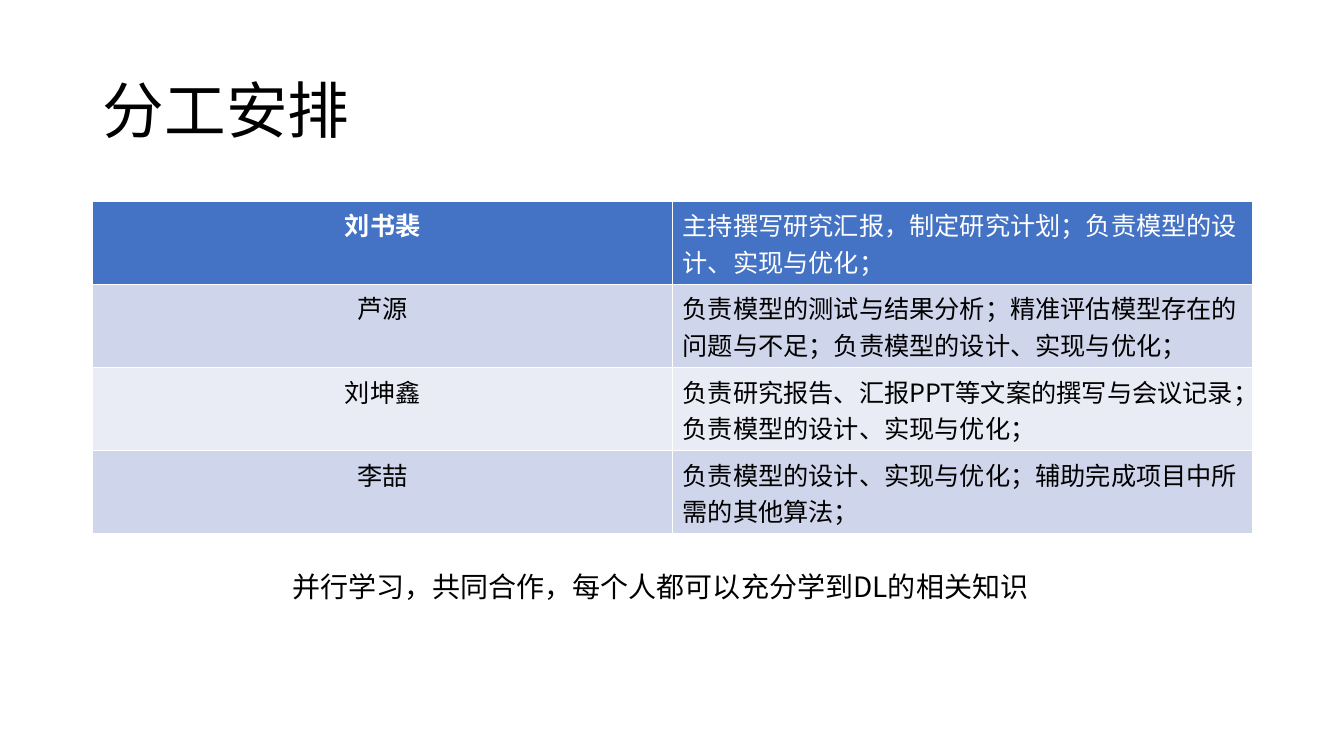
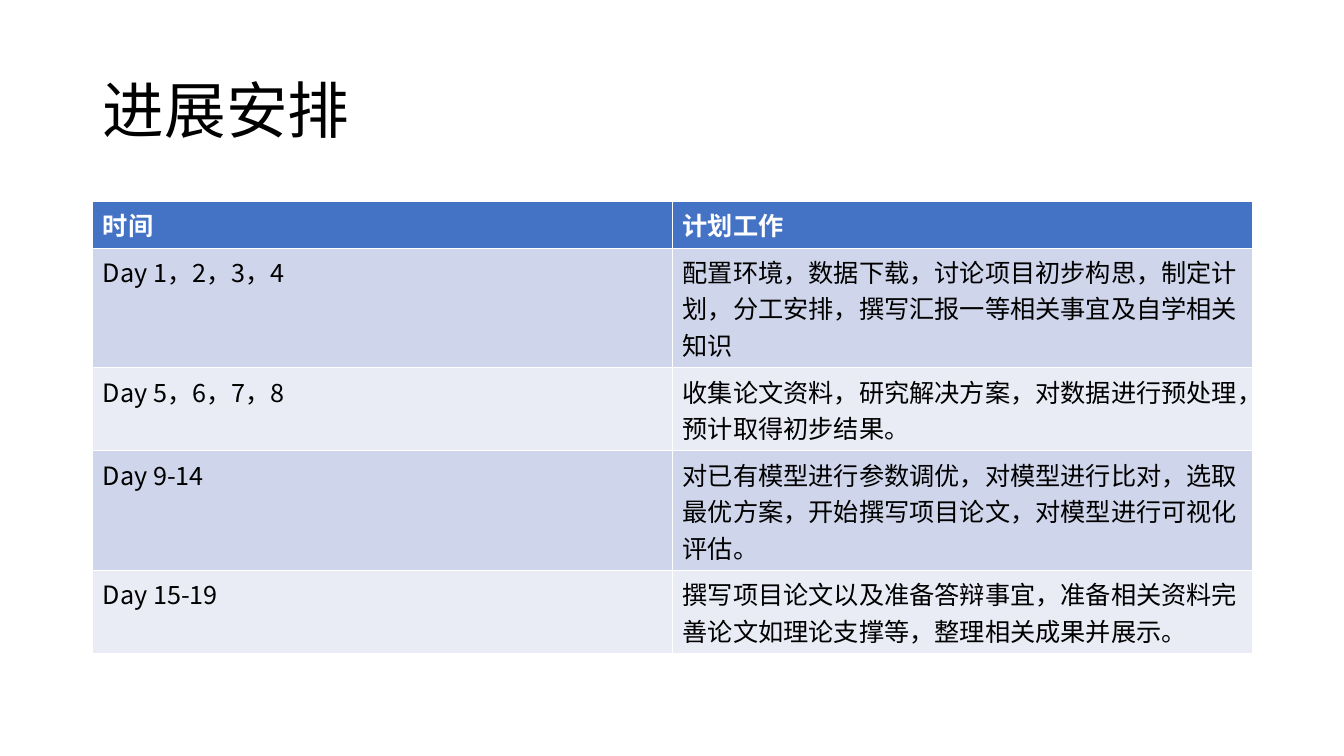
import pptx
import pptx.util
import pptx.dml.color
import pptx.enum.text
import pptx.oxml.ns
import lxml.etree

Inches = pptx.util.Inches
ALIGN = pptx.enum.text.PP_ALIGN
ANCHOR = pptx.enum.text.MSO_ANCHOR
FACE = "Noto Sans CJK SC"
BLACK, WHITE, HEAD = "000000", "FFFFFF", "4472C4"
BANDS = ("CFD5EA", "E9EBF5")
TITLE = (0.92, 0.4, 11.5, 1.45)
TABLE = (0.92, 2, 11.5)
NOTE = (2.8, 5.65, 7.56, 0.44)
ROW = 0.41


def color(code):
    return pptx.dml.color.RGBColor.from_string(code)


def assign(part, values):
    for name, value in values.items():
        setattr(part, name, value)


def write(frame, text, size, ink=BLACK, bold=False, align=ALIGN.LEFT, space=None):
    para = frame.paragraphs[0]
    assign(para, {"alignment": align, "line_spacing": space})
    run = para.add_run()
    run.text = text
    assign(run.font, {"size": pptx.util.Pt(size), "bold": bold, "name": FACE})
    run.font.color.rgb = color(ink)
    east = lxml.etree.SubElement(run.font._element, pptx.oxml.ns.qn("a:ea"))
    east.set("typeface", FACE)


def add_page(deck, title):
    page = deck.slides.add_slide(deck.slide_layouts[5])
    shape = page.shapes.title
    sides = map(Inches, TITLE)
    assign(shape, dict(zip(("left", "top", "width", "height"), sides)))
    assign(shape.text_frame, {"vertical_anchor": ANCHOR.MIDDLE, "word_wrap": True})
    write(shape.text_frame, title, 44, space=0.9)
    return page


def add_grid(page, box, rows, align, bold):
    left, top, width = map(Inches, box)
    high = Inches(ROW * len(rows))
    grid = page.shapes.add_table(len(rows), 2, left, top, width, high).table
    for i, row in enumerate(rows):
        for j, text in enumerate(row):
            cell = grid.cell(i, j)
            cell.fill.solid()
            cell.fill.fore_color.rgb = color(BANDS[(i - 1) % 2] if i else HEAD)
            write(cell.text_frame, text, 18, BLACK if i else WHITE,
                  i == 0 and bold[j], align[j])


def add_note(page, box, text):
    frame = page.shapes.add_textbox(*map(Inches, box)).text_frame
    frame.word_wrap = True
    write(frame, text, 20, space=0.84)


def add_team(deck):
    page = add_page(deck, "分工安排")
    rows = [
        ("刘书裴", "主持撰写研究汇报，制定研究计划；负责模型的设计、实现与优化；"),
        ("芦源", "负责模型的测试与结果分析；精准评估模型存在的问题与不足；负责模型的设计、实现与优化；"),
        ("刘坤鑫", "负责研究报告、汇报PPT等文案的撰写与会议记录；负责模型的设计、实现与优化；"),
        ("李喆", "负责模型的设计、实现与优化；辅助完成项目中所需的其他算法；"),
    ]
    add_grid(page, TABLE, rows, (ALIGN.CENTER, ALIGN.LEFT), (True, False))
    add_note(page, NOTE, "并行学习，共同合作，每个人都可以充分学到DL的相关知识")


def add_plan(deck):
    page = add_page(deck, "进展安排")
    rows = [
        ("时间", "计划工作"),
        ("Day 1，2，3，4", "配置环境，数据下载，讨论项目初步构思，制定计划，分工安排，撰写汇报一等相关事宜及自学相关知识"),
        ("Day 5，6，7，8", "收集论文资料，研究解决方案，对数据进行预处理，预计取得初步结果。"),
        ("Day 9-14", "对已有模型进行参数调优，对模型进行比对，选取最优方案，开始撰写项目论文，对模型进行可视化评估。"),
        ("Day 15-19", "撰写项目论文以及准备答辩事宜，准备相关资料完善论文如理论支撑等，整理相关成果并展示。"),
    ]
    add_grid(page, TABLE, rows, (ALIGN.LEFT, ALIGN.LEFT), (True, True))


deck = pptx.Presentation()
assign(deck, {"slide_width": Inches(13.33), "slide_height": Inches(7.5)})
add_team(deck)
add_plan(deck)
deck.save("out.pptx")
